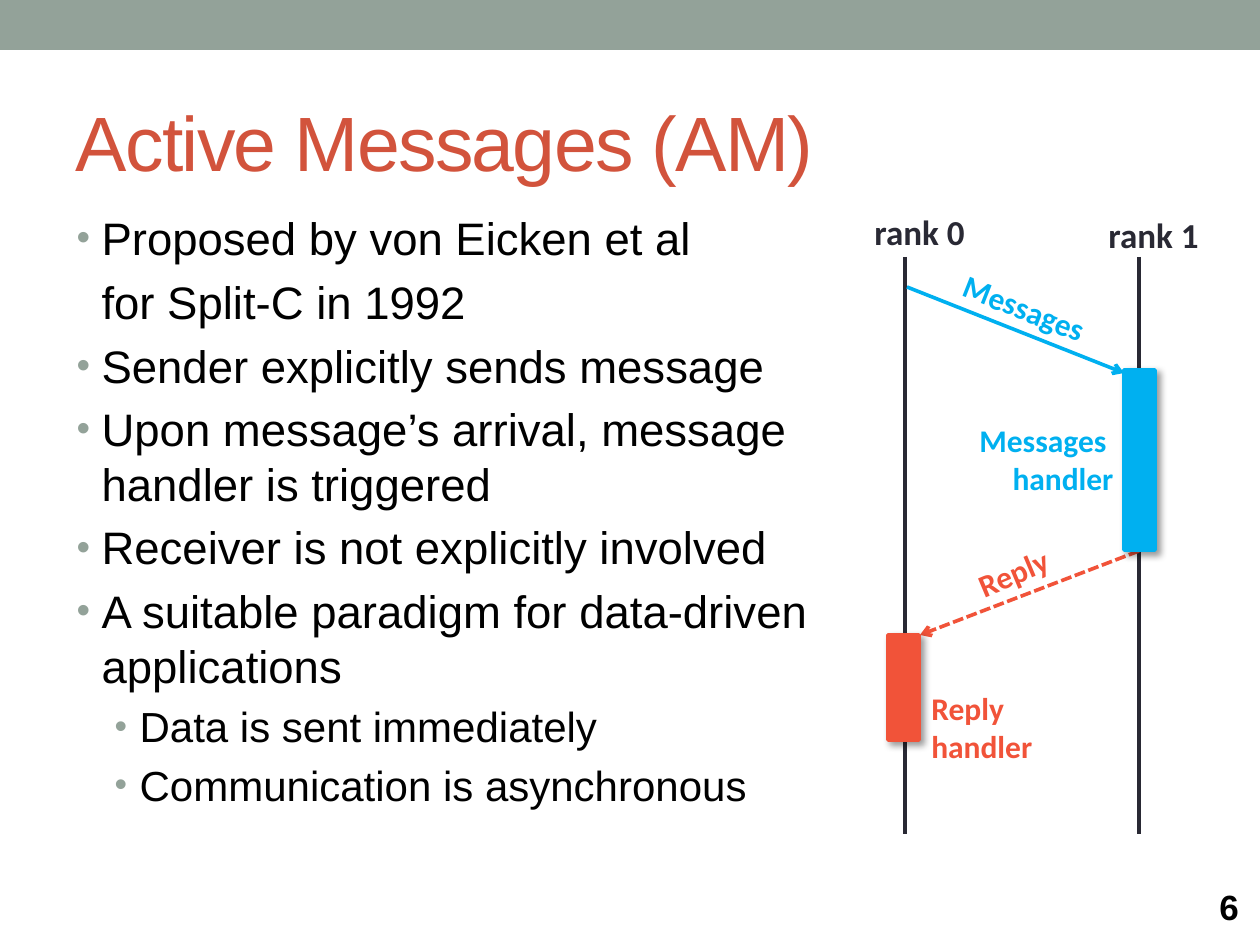
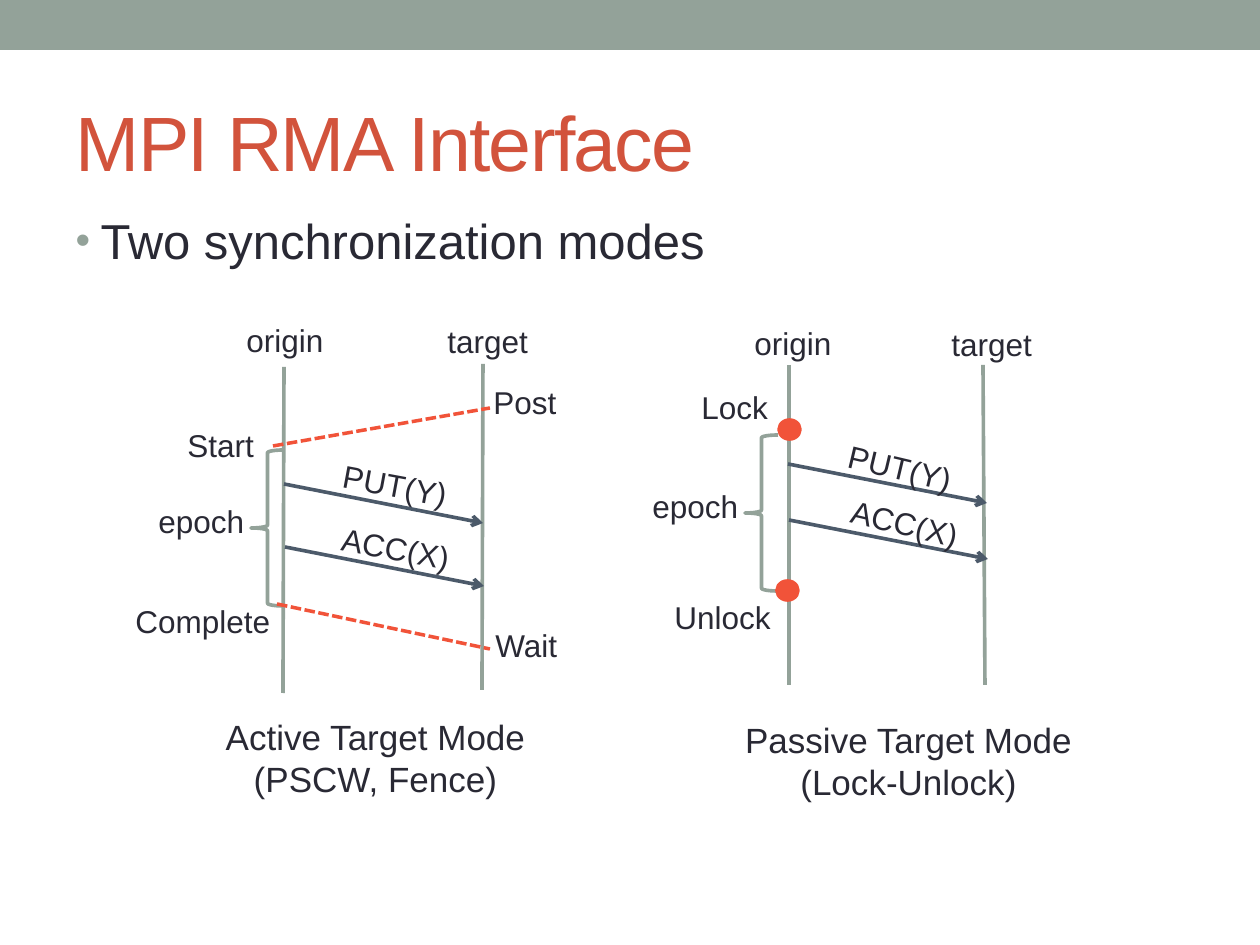
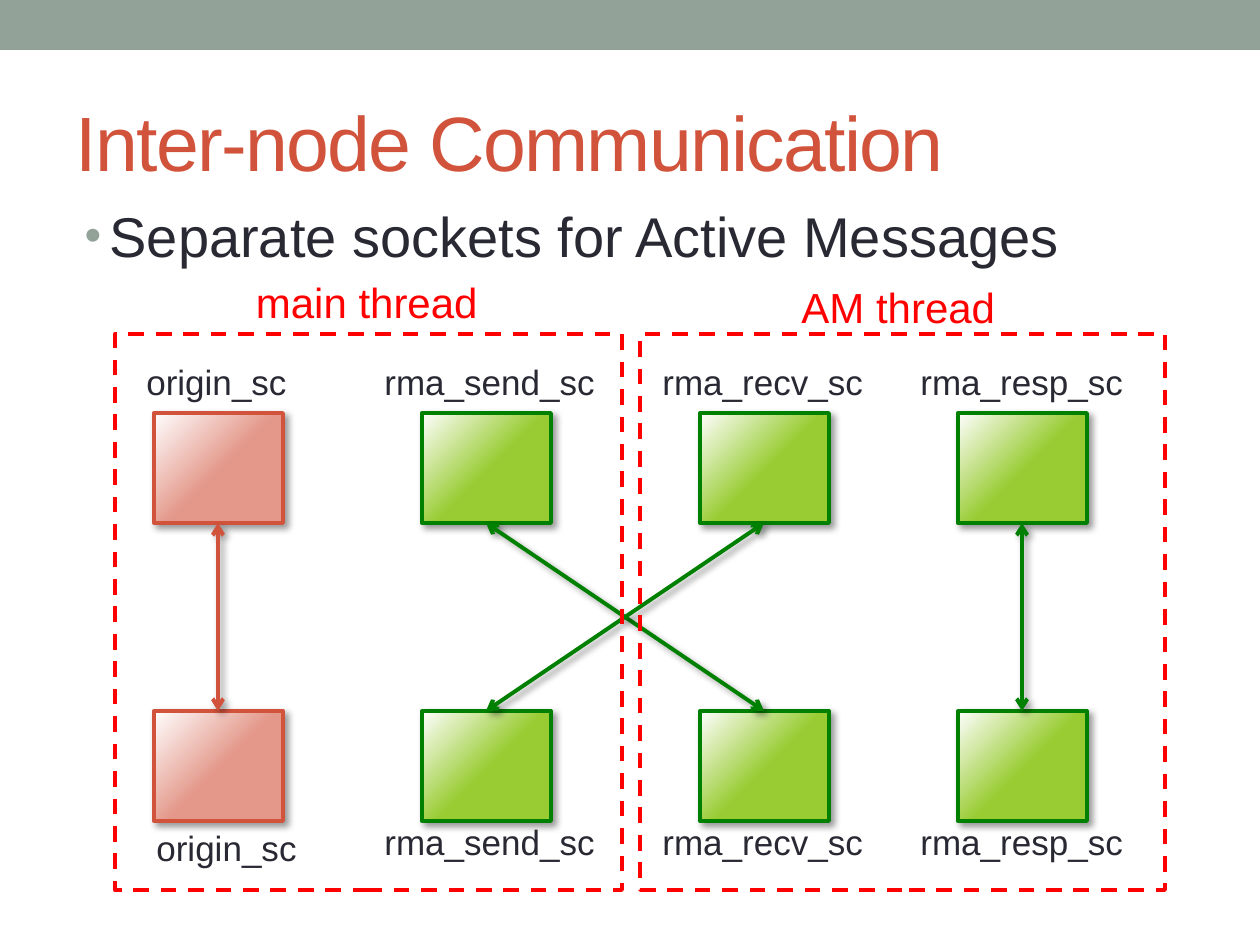
from lxml.etree import SubElement
from pptx import Presentation
from pptx.dml.color import RGBColor
from pptx.enum.dml import MSO_LINE
from pptx.enum.shapes import MSO_CONNECTOR, MSO_SHAPE
from pptx.enum.text import MSO_ANCHOR, MSO_AUTO_SIZE, PP_ALIGN
from pptx.oxml import parse_xml
from pptx.oxml.ns import nsdecls, qn
from pptx.util import Emu, Pt

BLACK = RGBColor(0x00, 0x00, 0x00)
WHITE = RGBColor(0xFF, 0xFF, 0xFF)
INK = RGBColor(0x29, 0x29, 0x34)
SAGE = RGBColor(0x93, 0xA2, 0x99)
BRICK = RGBColor(0xD2, 0x53, 0x3C)
SALMON = RGBColor(0xE4, 0x98, 0x8A)
SLATE = RGBColor(0x4C, 0x5A, 0x6A)
SKY = RGBColor(0x00, 0xB0, 0xF0)
ORANGE = RGBColor(0xF1, 0x53, 0x39)
RED = RGBColor(0xFF, 0x00, 0x00)
GREEN = RGBColor(0x00, 0x80, 0x00)
LIME = RGBColor(0x99, 0xCC, 0x33)

EMU_PER_PX = 914400 / 126
WIDTH, HEIGHT = 1260, 945


def px(length):
    return Emu(round(length * EMU_PER_PX))


class Pages:
    """Shared style and the slide being filled."""

    font = "Arial"

    def __init__(self):
        self.deck = Presentation()
        self.deck.slide_width, self.deck.slide_height = px(WIDTH), px(HEIGHT)
        self.page = None

    def start(self, title):
        self.page = self.deck.slides.add_slide(self.deck.slide_layouts[1])
        self.shape(MSO_SHAPE.RECTANGLE, 0, 0, WIDTH, 50, fill=SAGE)
        box = self.page.shapes.title
        self.place(box, 63, 73, 1134, 136)
        frame = box.text_frame
        frame.text = title
        frame.vertical_anchor = MSO_ANCHOR.MIDDLE
        frame.auto_size = MSO_AUTO_SIZE.NONE
        para = frame.paragraphs[0]
        para.alignment = PP_ALIGN.LEFT
        self.format(para, 44, BRICK)
        para.runs[0].font._element.set("spc", "-100")

    def place(self, box, left, top, width, height):
        box.left, box.top, box.width, box.height = map(px, (left, top, width, height))

    def format(self, para, size, color, bold=False, font=None):
        for span in para.runs:
            span.font.name = font or self.font
            span.font.size = Pt(size)
            span.font.bold = bold
            span.font.color.rgb = color

    def bullets(self, items, left, top, width, height, color=INK):
        """Fill the body with (text, size, level, bulleted) items."""
        box = self.page.placeholders[1]
        self.place(box, left, top, width, height)
        frame = box.text_frame
        frame.text = "\n".join(item[0] for item in items)
        frame.auto_size = MSO_AUTO_SIZE.NONE
        for para, (_, size, level, bulleted) in zip(frame.paragraphs, items):
            para.level = level
            self.format(para, size, color)
            props = para._p.get_or_add_pPr()
            props.set("marL", str(px(63 if level else 25)))
            props.set("indent", str(-px(25) if bulleted else 0))
            if not bulleted:
                SubElement(props, qn("a:buNone"))
                continue
            tint = SubElement(props, qn("a:buClr"))
            SubElement(tint, qn("a:srgbClr"), val=str(SAGE))
            SubElement(props, qn("a:buSzPct"), val="85000")
            SubElement(props, qn("a:buFont"), typeface=self.font)
            SubElement(props, qn("a:buChar"), char="•")

    def label(self, text, left, top, width, height=50, size=18, color=INK,
              align=PP_ALIGN.LEFT, tilt=0, **style):
        box = self.page.shapes.add_textbox(*map(px, (left, top, width, height)))
        box.rotation = tilt
        box.text_frame.word_wrap = True
        box.text_frame.text = text
        for para in box.text_frame.paragraphs:
            para.alignment = align
            self.format(para, size, color, **style)

    def shape(self, kind, left, top, width, height, fill=None, line=None,
              weight=2.08, dash=None, glow=False, shadow=False):
        """Add a shape; glow fades the fill to white at the top left."""
        box = self.page.shapes.add_shape(kind, *map(px, (left, top, width, height)))
        if fill is None or glow:
            box.fill.background()
        else:
            box.fill.solid()
            box.fill.fore_color.rgb = fill
        if glow:
            blank = box.element.spPr.find(qn("a:noFill"))
            blank.getparent().replace(blank, parse_xml(
                f'<a:gradFill {nsdecls("a")} rotWithShape="1"><a:gsLst>'
                f'<a:gs pos="48000"><a:srgbClr val="{fill}"/></a:gs>'
                f'<a:gs pos="100000"><a:srgbClr val="{WHITE}"/></a:gs></a:gsLst>'
                '<a:path path="circle"><a:fillToRect l="100000" t="100000"/></a:path>'
                '<a:tileRect r="-100000" b="-100000"/></a:gradFill>'))
        self.stroke(box, line, weight, dash)
        self.effect(box, shadow)

    def line(self, start, end, color, weight=2.08, dash=None, heads=(), shadow=False):
        link = self.page.shapes.add_connector(
            MSO_CONNECTOR.STRAIGHT, *map(px, (*start, *end)))
        self.stroke(link, color, weight, dash)
        for head in heads:
            SubElement(link.line._get_or_add_ln(), qn(f"a:{head}"), type="arrow")
        self.effect(link, shadow)

    def stroke(self, item, color, weight, dash):
        if color is None:
            item.line.fill.background()
            return
        item.line.color.rgb = color
        item.line.width = Pt(weight)
        if dash:
            item.line.dash_style = dash

    def effect(self, item, shadow):
        effects = SubElement(item.element.spPr, qn("a:effectLst"))
        if shadow:
            outer = SubElement(effects, qn("a:outerShdw"), blurRad=str(Pt(4)),
                               dist=str(Pt(3)), dir="2700000", rotWithShape="0")
            tint = SubElement(outer, qn("a:srgbClr"), val=str(BLACK))
            SubElement(tint, qn("a:alpha"), val="40000")


def active_messages(pages):
    pages.start("Active Messages (AM)")
    pages.bullets([
        ("Proposed by von Eicken et al", 26, 0, True),
        ("for Split-C in 1992", 26, 0, False),
        ("Sender explicitly sends message", 26, 0, True),
        ("Upon message’s arrival, message handler is triggered", 26, 0, True),
        ("Receiver is not explicitly involved", 26, 0, True),
        ("A suitable paradigm for data-driven applications", 26, 0, True),
        ("Data is sent immediately", 24, 1, True),
        ("Communication is asynchronous", 24, 1, True),
    ], 64, 204, 804, 680, BLACK)
    pages.label("6", 1207, 879, 53, size=20, color=BLACK, bold=True)

    # Timelines of both ranks
    strong = {"bold": True, "font": "Calibri"}
    for name, x, top in (("rank 0", 905, 204), ("rank 1", 1139, 207)):
        pages.line((x, 257), (x, 834), INK, 2)
        pages.label(name, x - 43, top, 120, size=20, **strong)

    # Message and reply with their handlers
    pages.line((907, 287), (1124, 373), SKY, heads=["tailEnd"])
    pages.line((1139, 551), (920, 635), ORANGE, dash=MSO_LINE.SQUARE_DOT,
               heads=["tailEnd"])
    for x, y, height, color in ((1124, 370, 180, SKY), (888, 635, 105, ORANGE)):
        pages.shape(MSO_SHAPE.RECTANGLE, x, y, 31, height, color, color, shadow=True)
    pages.label("Messages", 948, 285, 165, color=SKY, tilt=21.6, **strong)
    pages.label("Messages \nhandler", 961, 415, 165, 89, color=SKY,
                align=PP_ALIGN.RIGHT, **strong)
    pages.label("Reply", 964, 546, 105, color=ORANGE, tilt=-22.8, **strong)
    pages.label("Reply handler", 919, 683, 165, 89, color=ORANGE, **strong)


def draw_mode(pages, lifelines, brace, calls, labels, caption):
    """Draw one synchronization mode: lifelines, epoch, calls and labels."""
    x, y = brace
    pages.shape(MSO_SHAPE.LEFT_BRACE, x, y, 33, 156, WHITE, SAGE)
    pages.label("epoch", x - 105, y + 46, 127)
    for start, end in lifelines:
        pages.line(start, end, SAGE)
    for text, (x, y), spot, tilt in calls:
        pages.line((x, y), (x + 199, y + 39), SLATE, heads=["tailEnd"])
        pages.label(text, *spot, tilt=tilt)
    for text, left, top, width in labels:
        pages.label(text, left, top, width)
    pages.label(*caption, 97, size=20, align=PP_ALIGN.CENTER)


def rma_interface(pages):
    pages.start("MPI RMA Interface")
    pages.bullets([("Two synchronization modes", 28, 0, True)], 63, 204, 1134, 672)

    # Active target mode
    draw_mode(
        pages,
        lifelines=[((284, 367), (283, 693)), ((483, 364), (482, 690))],
        brace=(251, 450),
        calls=[("PUT(Y)", (284, 484), (330, 462, 152), 10.6),
               ("ACC(X)", (285, 547), (329, 524, 144), 10.2)],
        labels=[("origin", 234, 315, 110), ("target", 435, 316, 110),
                ("Start", 175, 420, 127), ("Post", 481, 377, 127),
                ("Complete", 123, 596, 170), ("Wait", 483, 620, 127)],
        caption=("Active Target Mode\n(PSCW, Fence)", 210, 709, 331))
    for start, end in (((273, 446), (490, 408)), ((277, 604), (490, 649))):
        pages.line(start, end, ORANGE, 2, MSO_LINE.SQUARE_DOT)

    # Passive target mode
    draw_mode(
        pages,
        lifelines=[((789, 365), (789, 685)), ((983, 365), (985, 685))],
        brace=(745, 435),
        calls=[("PUT(Y)", (788, 464), (835, 444, 142), 13.4),
               ("ACC(X)", (789, 520), (838, 499, 142), 13.4)],
        labels=[("origin", 742, 318, 110), ("target", 939, 319, 110),
                ("Lock", 689, 382, 127), ("Unlock", 662, 592, 127)],
        caption=("Passive Target Mode\n(Lock-Unlock)", 730, 712, 357))
    for x, y in ((779, 420), (777, 581)):
        pages.shape(MSO_SHAPE.OVAL, x, y, 21, 19, ORANGE, ORANGE)


def inter_node(pages):
    pages.start("Inter-node Communication")
    pages.bullets([("Separate sockets for Active Messages", 32, 0, True)],
                  72, 195, 1134, 95)

    # Sockets on both nodes
    top, bottom, width, height = 413, 711, 129, 110
    sockets = [("origin_sc", 218, 134, 144, 820, SALMON, BRICK),
               ("rma_send_sc", 486, 372, 372, 814, LIME, GREEN),
               ("rma_recv_sc", 764, 650, 650, 814, LIME, GREEN),
               ("rma_resp_sc", 1022, 908, 908, 814, LIME, GREEN)]
    for name, center, upper_x, lower_x, lower_y, fill, edge in sockets:
        for y in (top, bottom):
            pages.shape(MSO_SHAPE.RECTANGLE, center - width // 2, y, width, height,
                        fill, edge, 2.25, glow=True, shadow=True)
        pages.label(name, upper_x, 354, 238, 55, size=20)
        pages.label(name, lower_x, lower_y, 238, 55, size=20)

    # Connections between the nodes
    for upper, lower, color in ((218, 218, BRICK), (486, 764, GREEN),
                                (764, 486, GREEN), (1022, 1022, GREEN)):
        pages.line((upper, top + height), (lower, bottom), color, 2.25,
                   heads=["headEnd", "tailEnd"], shadow=True)

    # Thread frames
    for x, frame_width in ((115, 507), (640, 525)):
        pages.shape(MSO_SHAPE.RECTANGLE, x, 334, frame_width, 556, line=RED,
                    weight=2.25, dash=MSO_LINE.DASH)
    pages.label("main thread", 203, 270, 287, 63, 24, RED, PP_ALIGN.RIGHT)
    pages.label("AM thread", 789, 275, 307, 63, 24, RED)


def main():
    pages = Pages()
    active_messages(pages)
    rma_interface(pages)
    inter_node(pages)
    pages.deck.save("out.pptx")


if __name__ == "__main__":
    main()
